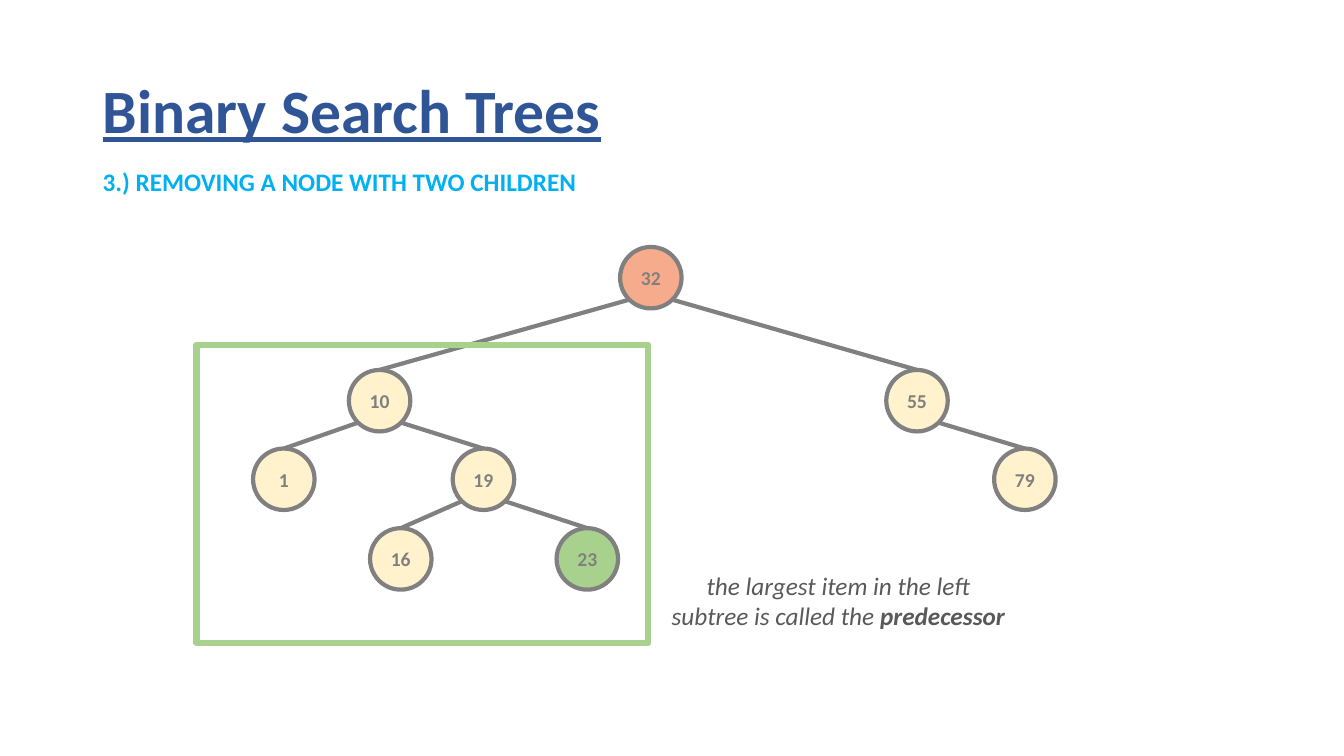
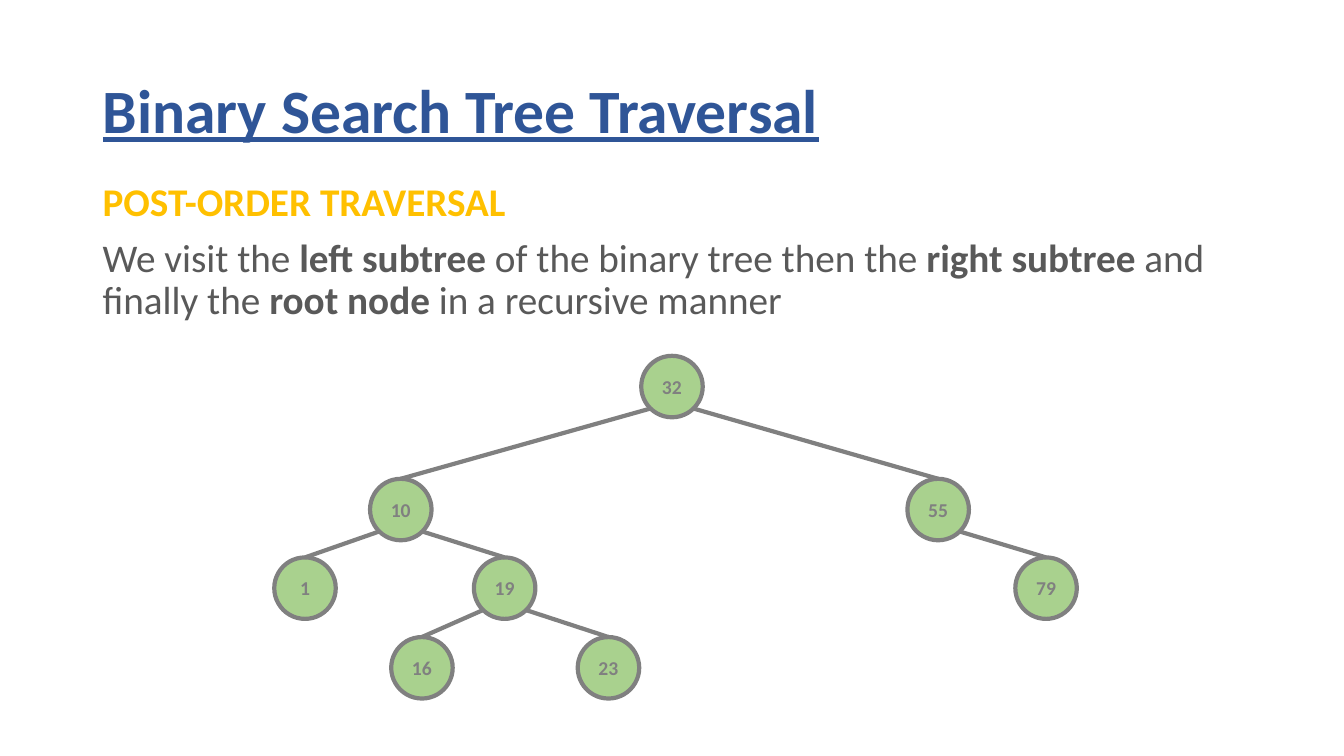
import pptx
import pptx.dml.color
import pptx.enum.shapes
import pptx.enum.text
import pptx.util
from dataclasses import dataclass
from lxml import etree

Inches = pptx.util.Inches
Pt = pptx.util.Pt
ALIGN = pptx.enum.text.PP_ALIGN
ANCHOR = pptx.enum.text.MSO_ANCHOR
AUTO_SIZE = pptx.enum.text.MSO_AUTO_SIZE
SHAPE = pptx.enum.shapes.MSO_SHAPE


@dataclass(frozen=True)
class Theme:
    font: str = "Calibri"
    title: str = "2F5597"
    step: str = "00B0F0"
    topic: str = "FFC000"
    text: str = "595959"
    outline: str = "808080"
    plain: str = "FFF2CC"
    removed: str = "F7AB8D"
    green: str = "A9D18E"
    title_size: int = 44
    body_size: int = 28
    note_size: int = 18
    key_size: int = 14
    tree_line: float = 3
    frame_line: float = 4.5


THEME = Theme()

# Tree: key -> (parent, depth, horizontal offset from the root)
TREE = {
    "32": (None, 0, 0),
    "55": ("32", 1, 2.64),
    "10": ("32", 1, -2.69),
    "19": ("10", 2, -1.66),
    "1": ("10", 2, -3.64),
    "16": ("19", 3, -2.48),
    "79": ("55", 2, 3.71),
    "23": ("19", 3, -0.63),
}
DEPTH_OFFSETS = (0, 1.22, 2, 2.79)
NODE_SIZE = 0.61
# Edges leave a parent at 45 degrees below its centre
EDGE_OFFSET = round(NODE_SIZE / 2 * 0.707, 2)


def rgb(color):
    return pptx.dml.color.RGBColor.from_string(color)


def write_text(frame, paragraphs, size, color, bold=False, italic=False,
               underline=False, align=ALIGN.LEFT, line_spacing=None,
               space_before=0):
    """Fill a frame; each paragraph is a list of (text, is_bold) or a string."""
    for index, content in enumerate(paragraphs):
        paragraph = frame.paragraphs[0] if index == 0 else frame.add_paragraph()
        paragraph.alignment = align
        paragraph.line_spacing = line_spacing
        paragraph.space_before = Pt(space_before if index else 0)
        pieces = [(content, bold, color)] if isinstance(content, str) else content
        for text, piece_bold, piece_color in pieces:
            run = paragraph.add_run()
            run.text = text
            run.font.name = THEME.font
            run.font.size = Pt(size)
            run.font.bold = piece_bold
            run.font.italic = italic
            run.font.underline = underline
            run.font.color.rgb = rgb(piece_color)


class Deck:
    def __init__(self, theme):
        self.theme = theme
        self.presentation = pptx.Presentation()
        self.presentation.slide_width = Inches(13.33)
        self.presentation.slide_height = Inches(7.5)
        self.slide = None

    def add_slide(self, heading):
        layout = self.presentation.slide_layouts.get_by_name("Title Only")
        self.slide = self.presentation.slides.add_slide(layout)
        title = self.slide.shapes.title
        title.left, title.top = Inches(0.92), Inches(0.4)
        title.width, title.height = Inches(11.5), Inches(1.45)
        title.text_frame.auto_size = AUTO_SIZE.NONE
        title.text_frame.vertical_anchor = ANCHOR.MIDDLE
        write_text(title.text_frame, [heading], self.theme.title_size,
                   self.theme.title, bold=True, underline=True, line_spacing=0.9)

    def add_text(self, left, top, width, height, paragraphs, wrap=False, **style):
        box = self.slide.shapes.add_textbox(
            Inches(left), Inches(top), Inches(width), Inches(height))
        box.text_frame.word_wrap = wrap
        box.text_frame.auto_size = (
            AUTO_SIZE.NONE if wrap else AUTO_SIZE.SHAPE_TO_FIT_TEXT)
        write_text(box.text_frame, paragraphs, **style)

    def add_outlined(self, kind, left, top, width, height, line_color,
                     line_width, fill=None):
        outlined = self.slide.shapes.add_shape(
            kind, Inches(left), Inches(top), Inches(width), Inches(height))
        outlined.shadow.inherit = False
        outlined.line.color.rgb = rgb(line_color)
        outlined.line.width = Pt(line_width)
        if fill:
            outlined.fill.solid()
            outlined.fill.fore_color.rgb = rgb(fill)
        else:
            outlined.fill.background()
        return outlined

    def add_node(self, key, left, top, fill):
        node = self.add_outlined(SHAPE.OVAL, left, top, NODE_SIZE, NODE_SIZE,
                                 self.theme.outline, self.theme.tree_line, fill)
        node.text_frame.vertical_anchor = ANCHOR.MIDDLE
        write_text(node.text_frame, [key], self.theme.key_size,
                   self.theme.outline, bold=True, align=ALIGN.CENTER)
        return node

    def add_edge(self, parent, child):
        side = 1 if child.left > parent.left else -1
        start_x = parent.left + parent.width // 2 + side * Inches(EDGE_OFFSET)
        start_y = parent.top + parent.height // 2 + Inches(EDGE_OFFSET)
        edge = self.slide.shapes.add_connector(
            pptx.enum.shapes.MSO_CONNECTOR.STRAIGHT, start_x, start_y,
            child.left + child.width // 2, child.top)
        edge.end_connect(child, 0)
        edge.line.color.rgb = rgb(self.theme.outline)
        edge.line.width = Pt(self.theme.tree_line)
        etree.SubElement(edge._element.spPr, pptx.oxml.ns.qn("a:effectLst"))

    def add_tree(self, left, top, fill, highlights=None):
        """Draw the tree with its root's corner at left, top."""
        highlights = highlights or {}
        nodes = {}
        for key, (parent, depth, offset) in TREE.items():
            nodes[key] = self.add_node(key, left + offset, top + DEPTH_OFFSETS[depth],
                                       highlights.get(key, fill))
            if parent:
                self.add_edge(nodes[parent], nodes[key])


def build_removal(deck):
    theme = deck.theme
    deck.add_slide("Binary Search Trees")
    deck.add_text(0.92, 1.6, 5.08, 0.4, ["3.) REMOVING A NODE WITH TWO CHILDREN"],
                  size=theme.note_size, color=theme.step, bold=True)
    deck.add_tree(6.15, 2.45, theme.plain,
                  {"32": theme.removed, "23": theme.green})
    # Left subtree and its largest item
    deck.add_outlined(SHAPE.RECTANGLE, 1.95, 3.42, 4.48, 2.96,
                      theme.green, theme.frame_line)
    deck.add_text(6.55, 5.61, 3.53, 0.71,
                  ["the largest item in the left",
                   [("subtree is called the ", False, theme.text),
                    ("predecessor", True, theme.text)]],
                  size=theme.note_size, color=theme.text, italic=True,
                  align=ALIGN.CENTER)


def build_traversal(deck):
    theme = deck.theme
    deck.add_slide("Binary Search Tree Traversal")
    # Alternate regular and bold wording
    wording = ("We visit the ", "left subtree", " of the binary tree then the ",
               "right subtree ", "and finally the ", "root node ",
               "in a recursive manner")
    explanation = [(text, index % 2 == 1, theme.text)
                   for index, text in enumerate(wording)]
    deck.add_text(0.92, 1.76, 11.5, 1.6,
                  [[("POST-ORDER TRAVERSAL", True, theme.topic)], explanation],
                  wrap=True, size=theme.body_size, color=theme.text,
                  line_spacing=0.9, space_before=10)
    deck.add_tree(6.36, 3.53, theme.green)


def main():
    deck = Deck(THEME)
    build_removal(deck)
    build_traversal(deck)
    deck.presentation.save("out.pptx")


if __name__ == "__main__":
    main()
